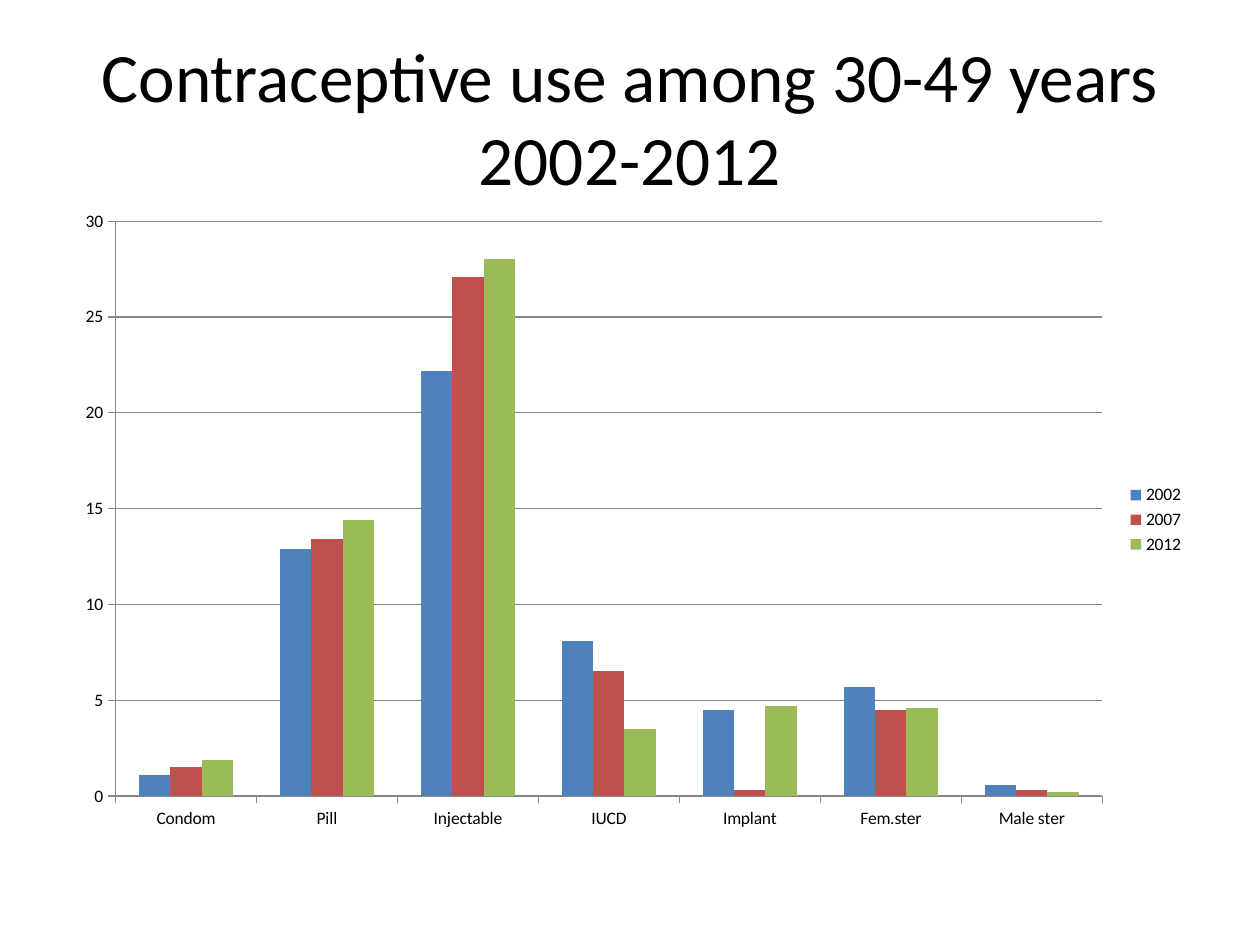
from pptx import Presentation
from pptx import util as u
from pptx.chart import data as chart_data
from pptx.dml import color
from pptx.enum import chart as chart_enum, text

WIDTH, HEIGHT = u.Inches(10), u.Inches(7.5)
FONT = "Calibri"
COLOURS = {"text": "000000", "line": "878787",
           "2002": "4F81BD", "2007": "C0504D", "2012": "9BBB59"}
METHODS = ["Condom", "Pill", "Injectable", "IUCD", "Implant", "Fem.ster", "Male ster"]
USE_BY_YEAR = {
    "2002": [1.1, 12.9, 22.2, 8.1, 4.5, 5.7, 0.6],
    "2007": [1.5, 13.4, 27.1, 6.5, 0.3, 4.5, 0.3],
    "2012": [1.9, 14.4, 28, 3.5, 4.7, 4.6, 0.2],
}


def rgb(name):
    return color.RGBColor.from_string(COLOURS[name])


def box(left, top, width, height):
    """Turn shares of the slide into a position and size."""
    return (int(left * WIDTH), int(top * HEIGHT),
            int(width * WIDTH), int(height * HEIGHT))


def style_font(font, size):
    font.name = FONT
    font.size = u.Pt(size)
    font.color.rgb = rgb("text")


def add_title(slide, wording, place):
    frame = slide.shapes.add_textbox(*place).text_frame
    frame.text = wording
    frame.word_wrap = True
    frame.vertical_anchor = text.MSO_ANCHOR.MIDDLE
    paragraph = frame.paragraphs[0]
    paragraph.alignment = text.PP_ALIGN.CENTER
    style_font(paragraph.runs[0].font, 39.6)


def style_line(line):
    line.color.rgb = rgb("line")
    line.width = u.Pt(0.75)


def add_column_chart(slide, place):
    data = chart_data.CategoryChartData()
    data.categories = METHODS
    for year, values in USE_BY_YEAR.items():
        data.add_series(year, values)
    chart = slide.shapes.add_chart(
        chart_enum.XL_CHART_TYPE.COLUMN_CLUSTERED, *place, data).chart
    style_font(chart.font, 10)
    chart.has_title = False

    # Columns
    plot = chart.plots[0]
    plot.gap_width = 150
    plot.overlap = 0
    plot.vary_by_categories = False
    for series in plot.series:
        series.format.fill.solid()
        series.format.fill.fore_color.rgb = rgb(series.name)

    # Axes and gridlines
    for axis in (chart.category_axis, chart.value_axis):
        axis.major_tick_mark = chart_enum.XL_TICK_MARK.OUTSIDE
        axis.minor_tick_mark = chart_enum.XL_TICK_MARK.NONE
        style_line(axis.format.line)
    value_axis = chart.value_axis
    value_axis.minimum_scale, value_axis.maximum_scale = 0, 30
    value_axis.major_unit = 5
    value_axis.has_major_gridlines = True
    style_line(value_axis.major_gridlines.format.line)

    # Legend
    chart.has_legend = True
    chart.legend.position = chart_enum.XL_LEGEND_POSITION.RIGHT
    chart.legend.include_in_layout = False


def main():
    presentation = Presentation()
    presentation.slide_width, presentation.slide_height = WIDTH, HEIGHT
    slide = presentation.slides.add_slide(presentation.slide_layouts[6])
    add_title(slide, "Contraceptive use among 30-49 years 2002-2012",
              box(0.05, 0.04, 0.9, 1 / 6))
    add_column_chart(slide, box(0.05, 0.21, 0.9, 0.68))
    presentation.save("out.pptx")


main()
